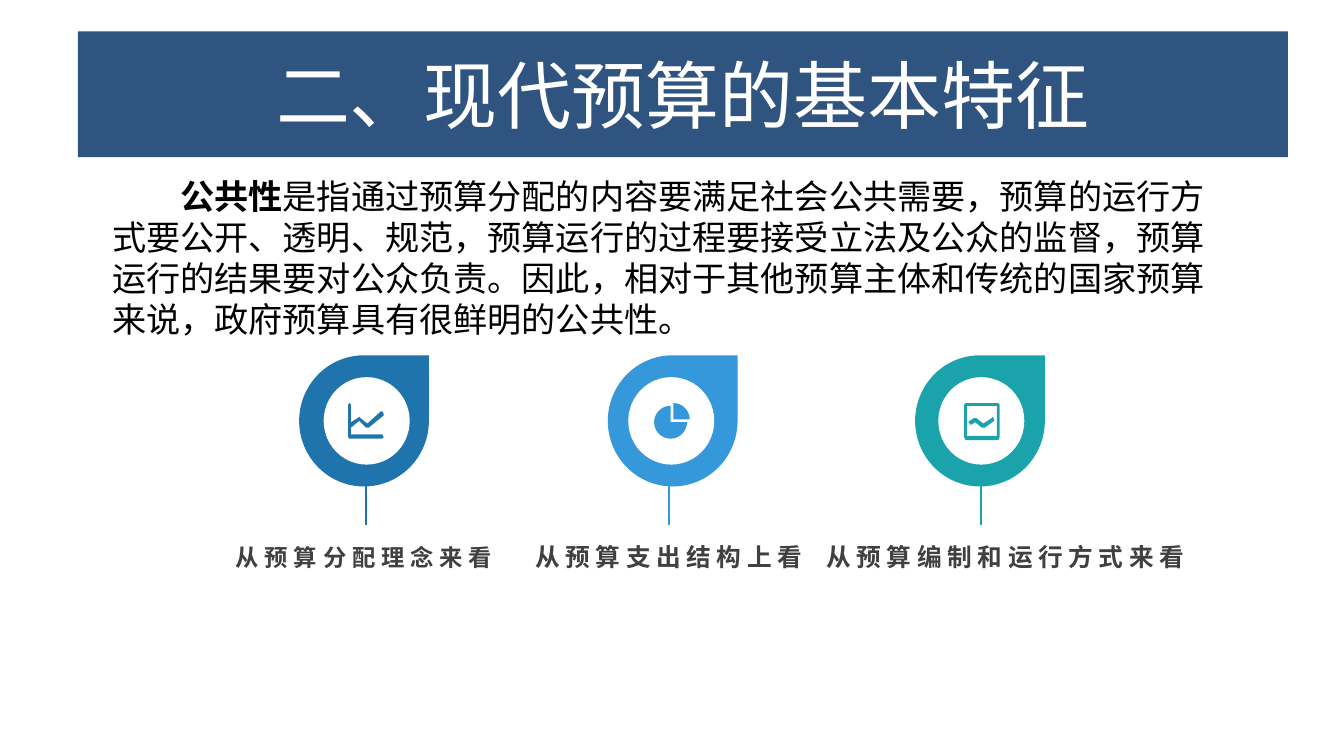
from dataclasses import dataclass
from math import cos, radians, sin

from lxml.etree import SubElement
from pptx import Presentation
from pptx.dml.color import RGBColor
from pptx.enum.shapes import MSO_CONNECTOR, MSO_SHAPE
from pptx.enum.text import MSO_ANCHOR, MSO_AUTO_SIZE, PP_ALIGN
from pptx.oxml.ns import qn
from pptx.shapes.base import BaseShape
from pptx.slide import Slide
from pptx.text.text import TextFrame
from pptx.util import Emu, Pt

EMU_PER_PX = 9144

Contour = list[tuple[float, float]]


@dataclass(frozen=True)
class Theme:
    latin: str = "Calibri"
    chinese: str = "Noto Sans CJK SC"
    banner: str = "305480"
    white: str = "FFFFFF"
    black: str = "000000"
    label: str = "404040"
    blue: str = "1F74AD"
    sky: str = "3498DB"
    teal: str = "1AA3AA"
    title_size: float = 39
    body_size: float = 18
    label_size: float = 13
    small_label_size: float = 12.3
    label_spacing: int = 300


@dataclass(frozen=True)
class Box:
    left: int
    top: int
    width: int
    height: int


@dataclass(frozen=True)
class Aspect:
    text: str
    color: str
    label_size: float
    label_left: int
    label_width: int
    drop_left: int
    disc_left: int
    stem_x: int
    icon_left: int
    icon: list[Contour]


def px(value: float) -> Emu:
    return Emu(round(value * EMU_PER_PX))


def arc(center_x: int, center_y: int, radius: int, start: int, end: int) -> Contour:
    return [
        (center_x + radius * cos(radians(angle)), center_y + radius * sin(radians(angle)))
        for angle in range(start, end + 1, 6)
    ]


THEME = Theme()

LINE_CHART: list[Contour] = [[
    (26, 9), (15, 18), (13, 18), (8, 13), (2, 18), (2, 23), (25, 23), (26, 25),
    (25, 26), (1, 26), (0, 25), (0, 1), (1, 0), (2, 1), (2, 14), (7, 11),
    (8, 10), (9, 11), (14, 15), (24, 6), (25, 6), (26, 8),
]]
PIE_CHART: list[Contour] = [
    [(15, 12), *arc(15, 12, 12, 270, 360)],
    [(13, 14), *arc(13, 14, 12, 0, 270)],
]
FRAMED_CHART: list[Contour] = [
    [(1, 0), (25, 0), (26, 1), (26, 25), (25, 27), (1, 27), (0, 25), (0, 1)],
    [(24, 2), (2, 2), (2, 24), (24, 24)],
    [
        (4, 13), (7, 11), (9, 11), (14, 15), (20, 11), (21, 10), (22, 12),
        (22, 13), (15, 18), (13, 18), (8, 14), (5, 16), (3, 14),
    ],
]

TITLE = "二、现代预算的基本特征"
LEAD = "公共性"
EXPLANATION = (
    "是指通过预算分配的内容要满足社会公共需要，预算的运行方式要公开、透明、规范，"
    "预算运行的过程要接受立法及公众的监督，预算运行的结果要对公众负责。"
    "因此，相对于其他预算主体和传统的国家预算来说，政府预算具有很鲜明的公共性。"
)
ASPECTS = [
    Aspect("从预算分配理念来看", THEME.blue, THEME.small_label_size, 155, 223, 219, 237, 268, 255, LINE_CHART),
    Aspect("从预算支出结构上看", THEME.sky, THEME.label_size, 374, 231, 445, 460, 490, 478, PIE_CHART),
    Aspect("从预算编制和运行方式来看", THEME.teal, THEME.label_size, 579, 314, 670, 687, 718, 706, FRAMED_CHART),
]


def place(shape: BaseShape, box: Box) -> None:
    shape.left, shape.top = px(box.left), px(box.top)
    shape.width, shape.height = px(box.width), px(box.height)


def paint(shape: BaseShape, color: str) -> None:
    shape.shadow.inherit = False
    shape.fill.solid()
    shape.fill.fore_color.rgb = RGBColor.from_string(color)
    shape.line.fill.background()


def set_frame(frame: TextFrame, anchor: MSO_ANCHOR, margins: tuple[int, int, int, int]) -> None:
    frame.word_wrap = True
    frame.auto_size = MSO_AUTO_SIZE.NONE
    frame.vertical_anchor = anchor
    frame.margin_left, frame.margin_top, frame.margin_right, frame.margin_bottom = map(px, margins)


def format_span(span, font: str, size: float, color: str, bold: bool = False) -> None:
    span.font.name = font
    span.font.size = Pt(size)
    span.font.bold = bold
    span.font.color.rgb = RGBColor.from_string(color)


def write_title(page: Slide) -> None:
    title = page.shapes.title
    place(title, Box(57, 23, 886, 92))
    title.fill.solid()
    title.fill.fore_color.rgb = RGBColor.from_string(THEME.banner)
    set_frame(title.text_frame, MSO_ANCHOR.MIDDLE, (9, 4, 9, 4))
    title.text_frame.text = TITLE
    para = title.text_frame.paragraphs[0]
    para.alignment = PP_ALIGN.CENTER
    format_span(para.runs[0], THEME.latin, THEME.title_size, THEME.white)


def write_body(page: Slide) -> None:
    body = page.placeholders[1]
    place(body, Box(72, 123, 841, 131))
    set_frame(body.text_frame, MSO_ANCHOR.TOP, (10, 5, 10, 5))
    body.text_frame.text = LEAD
    para = body.text_frame.paragraphs[0]
    properties = para._p.get_or_add_pPr()
    properties.set("marL", "0")
    properties.set("indent", str(px(50)))
    SubElement(properties, qn("a:buNone"))
    para.space_before = Pt(0)
    para.add_run().text = EXPLANATION
    for span, bold in zip(para.runs, (True, False)):
        format_span(span, THEME.latin, THEME.body_size, THEME.black, bold)


def draw_preset(page: Slide, kind: MSO_SHAPE, box: Box, color: str) -> None:
    shape = page.shapes.add_shape(kind, px(box.left), px(box.top), px(box.width), px(box.height))
    paint(shape, color)


def draw_stem(page: Slide, x: int, color: str) -> None:
    stem = page.shapes.add_connector(MSO_CONNECTOR.STRAIGHT, px(x), px(355), px(x), px(384))
    stem.line.color.rgb = RGBColor.from_string(color)
    stem.line.width = Pt(1)
    SubElement(stem._element.spPr, qn("a:effectLst"))


def draw_icon(page: Slide, left: int, top: int, contours: list[Contour], color: str) -> None:
    outlines = [[(px(left + x), px(top + y)) for x, y in contour] for contour in contours]
    builder = page.shapes.build_freeform(*outlines[0][0], scale=1.0)
    for index, outline in enumerate(outlines):
        if index:
            builder.move_to(*outline[0])
        builder.add_line_segments(outline[1:], close=True)
    paint(builder.convert_to_shape(), color)


def write_label(page: Slide, aspect: Aspect) -> None:
    box = page.shapes.add_textbox(px(aspect.label_left), px(385), px(aspect.label_width), px(33))
    set_frame(box.text_frame, MSO_ANCHOR.BOTTOM, (7, 4, 7, 0))
    box.text_frame.text = aspect.text
    para = box.text_frame.paragraphs[0]
    para.alignment = PP_ALIGN.CENTER
    para.line_spacing = 1.2
    span = para.runs[0]
    format_span(span, THEME.chinese, aspect.label_size, THEME.label, bold=True)
    properties = span._r.get_or_add_rPr()
    properties.set("spc", str(THEME.label_spacing))
    SubElement(properties, qn("a:ea")).set("typeface", THEME.chinese)


def draw_aspect(page: Slide, aspect: Aspect) -> None:
    draw_preset(page, MSO_SHAPE.TEAR, Box(aspect.drop_left, 260, 95, 96), aspect.color)
    draw_stem(page, aspect.stem_x, aspect.color)
    draw_preset(page, MSO_SHAPE.OVAL, Box(aspect.disc_left, 276, 63, 64), THEME.white)
    draw_icon(page, aspect.icon_left, 295, aspect.icon, aspect.color)
    write_label(page, aspect)


def main() -> None:
    deck = Presentation()
    deck.slide_width, deck.slide_height = px(984), px(551)
    page = deck.slides.add_slide(deck.slide_layouts[1])
    write_title(page)
    write_body(page)
    for aspect in ASPECTS:
        draw_aspect(page, aspect)
    deck.save("out.pptx")


if __name__ == "__main__":
    main()
